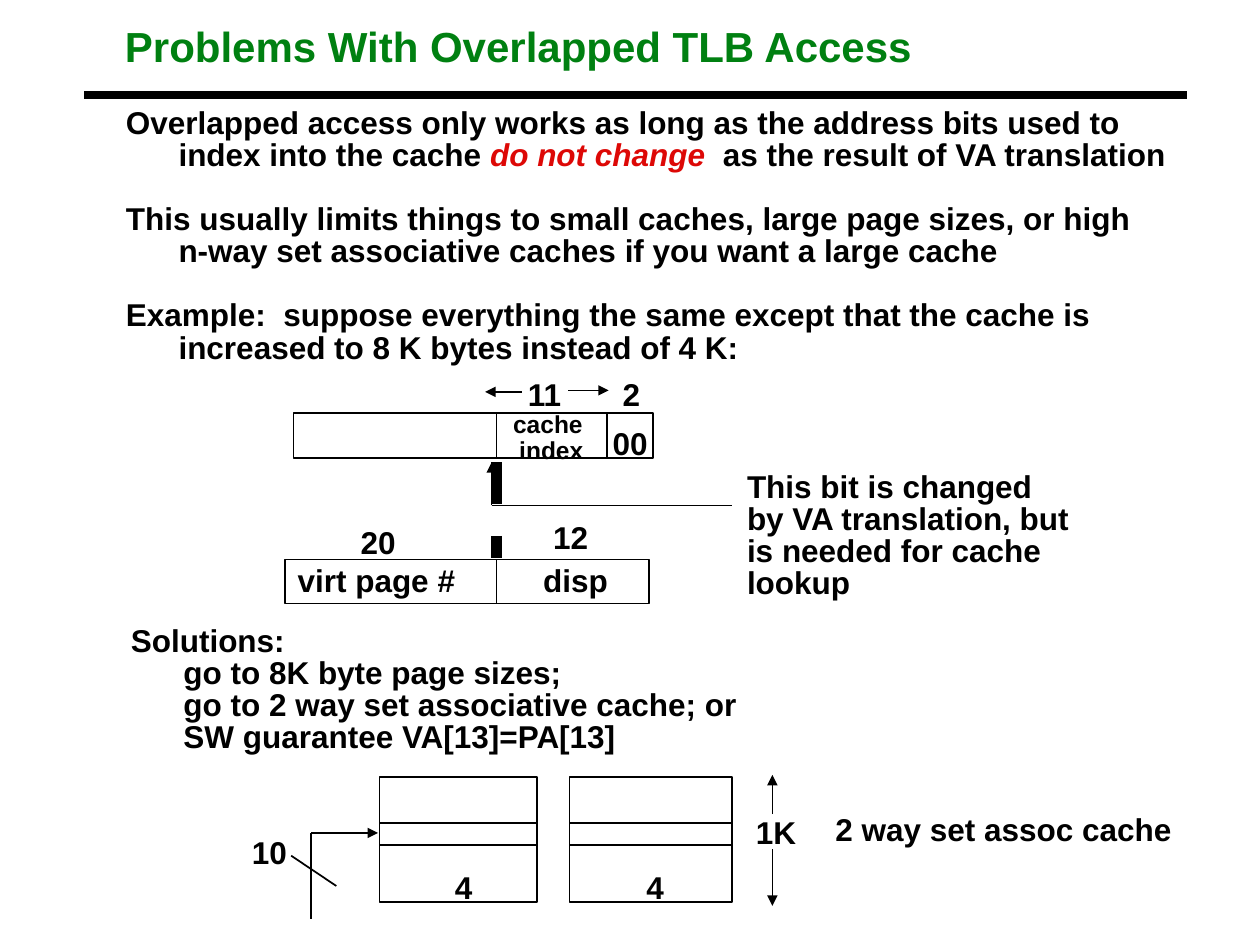
import dataclasses
import typing

import pptx
import pptx.dml.color
import pptx.enum.dml
import pptx.enum.shapes
import pptx.enum.text
import pptx.oxml.ns
import pptx.util
from pptx.util import Cm

BLACK = pptx.dml.color.RGBColor(0x00, 0x00, 0x00)
GREEN = pptx.dml.color.RGBColor(0x00, 0x80, 0x11)
RED = pptx.dml.color.RGBColor(0xDD, 0x08, 0x06)
FONT = "Arial"
HANG = 1.06  # indent of continuation lines, cm
GAP = 18.3  # space between body points, pt


@dataclasses.dataclass
class Run:
    text: str
    color: pptx.dml.color.RGBColor = BLACK
    italic: bool = False


@dataclasses.dataclass
class Para:
    runs: list[Run]
    indent: float = 0
    before: float = 0


@dataclasses.dataclass
class Text:
    x: float
    y: float
    w: float
    paras: list[Para]
    h: float = 0.79
    size: int = 18
    spacing: float = 0.85
    centered: bool = False


class Box(typing.NamedTuple):
    x: float
    y: float
    w: float
    h: float


class Line(typing.NamedTuple):
    x1: float
    y1: float
    x2: float
    y2: float
    arrow: bool = False
    width: float = 1
    dashed: bool = False


def para(text: str, indent: float = 0, before: float = 0) -> Para:
    return Para([Run(text)], indent, before)


def label(x: float, y: float, w: float, text: str) -> Text:
    return Text(x, y, w, [para(text)])


def draw_text(s, t: Text) -> None:
    tf = s.shapes.add_textbox(Cm(t.x), Cm(t.y), Cm(t.w), Cm(t.h)).text_frame
    # Fixed box; left-aligned text gets its right inset as slack against wrapping
    tf.word_wrap = True
    tf.auto_size = pptx.enum.text.MSO_AUTO_SIZE.NONE
    tf.margin_left = Cm(0.18)
    tf.margin_right = Cm(0.18 if t.centered else 0)
    tf.margin_top = tf.margin_bottom = Cm(0.08)
    for i, item in enumerate(t.paras):
        p = tf.add_paragraph() if i else tf.paragraphs[0]
        p.line_spacing = t.spacing
        p.space_before = pptx.util.Pt(item.before)
        if t.centered:
            p.alignment = pptx.enum.text.PP_ALIGN.CENTER
        if item.indent:
            p._p.get_or_add_pPr().set("marL", str(Cm(item.indent)))
        for run in item.runs:
            r = p.add_run()
            r.text = run.text
            r.font.name = FONT
            r.font.size = pptx.util.Pt(t.size)
            r.font.bold = True
            r.font.italic = run.italic
            r.font.color.rgb = run.color


def draw_box(s, b: Box) -> None:
    sp = s.shapes.add_shape(pptx.enum.shapes.MSO_SHAPE.RECTANGLE,
                            Cm(b.x), Cm(b.y), Cm(b.w), Cm(b.h))
    sp.shadow.inherit = False
    sp.fill.background()
    sp.line.color.rgb = BLACK
    sp.line.width = pptx.util.Pt(1)


def draw_line(s, ln: Line) -> None:
    sp = s.shapes.add_connector(pptx.enum.shapes.MSO_CONNECTOR.STRAIGHT,
                                Cm(ln.x1), Cm(ln.y1), Cm(ln.x2), Cm(ln.y2))
    sp.line.color.rgb = BLACK
    sp.line.width = pptx.util.Pt(ln.width)
    if ln.dashed:
        sp.line.dash_style = pptx.enum.dml.MSO_LINE.DASH
    if ln.arrow:
        tail = pptx.oxml.parse_xml(
            f'<a:tailEnd {pptx.oxml.ns.nsdecls("a")} type="triangle"/>')
        sp.line._get_or_add_ln().append(tail)
    sp._element.spPr.append(
        pptx.oxml.parse_xml(f'<a:effectLst {pptx.oxml.ns.nsdecls("a")}/>'))


# Address fields: cache address above, virtual address below
SPLIT = 10.01
CACHE = Box(5.92, 8.33, 7.24, 0.91)
VIRTUAL = Box(5.74, 11.28, 7.34, 0.89)
# The two ways of the cache
WAYS = [Box(7.65, 15.67, 3.18, 2.51), Box(11.48, 15.67, 3.28, 2.51)]

TEXTS = [
    Text(2.34, 0.48, 16.26, [Para([Run("Problems With Overlapped TLB Access", GREEN)])],
         h=1.91, size=24, spacing=0.87),
    Text(2.36, 2.11, 21.39, [
        para("Overlapped access only works as long as the address bits used to"),
        Para([Run("index into the cache "), Run("do not change  ", RED, True),
              Run("as the result of VA translation")], HANG),
        para("This usually limits things to small caches, large page sizes, or high",
             before=GAP),
        para("n-way set associative caches if you want a large cache", HANG),
        para("Example:  suppose everything the same except that the cache is", before=GAP),
        para("increased to 8 K bytes instead of 4 K:", HANG),
    ], h=5.33),
    label(10.46, 7.59, 1.07, "11"),
    label(12.37, 7.59, 0.71, "2"),
    label(12.17, 8.59, 1.07, "00"),
    Text(10.16, 8.23, 1.91, [para("cache "), para("index")],
         h=1.22, size=14, spacing=0.9, centered=True),
    label(7.09, 10.59, 1.07, "20"),
    label(10.97, 10.49, 1.07, "12"),
    label(5.82, 11.35, 3.53, "virt page #"),
    label(10.77, 11.35, 1.65, "disp"),
    Text(14.88, 9.45, 6.91, [para("This bit is changed"), para("by VA translation, but"),
                             para("is needed for cache"), para("lookup")], h=2.74),
    Text(2.46, 12.55, 12.57, [
        para("Solutions:"),
        para("go to 8K byte page sizes;", HANG),
        para("go to 2 way set associative cache; or", HANG),
        para("SW guarantee VA[13]=PA[13]", HANG),
    ], h=2.74),
    label(8.99, 17.53, 0.71, "4"),
    label(12.85, 17.53, 0.71, "4"),
    label(15.06, 16.43, 1.17, "1K"),
    label(4.9, 16.84, 1.07, "10"),
    label(16.66, 16.36, 7.14, "2 way set assoc cache"),
]

LINES = [
    Line(1.7, 1.91, 23.93, 1.91, width=4.5),  # title rule
    # Field dividers
    *[Line(x, b.y, x, b.y + b.h)
      for x, b in ((12.24, CACHE), (SPLIT, CACHE), (SPLIT, VIRTUAL))],
    # Extent of the cache index
    Line(11.46, 7.87, 12.27, 7.87, arrow=True),
    Line(10.52, 7.9, 9.78, 7.9, arrow=True),
    # Pointer to the changed bit
    Line(9.91, 10.19, 9.91, 9.32, arrow=True),
    Line(9.91, 10.19, 14.76, 10.19),
    Line(SPLIT, 9.32, SPLIT, 11.25, width=6, dashed=True),
    # Selected row in each way
    *[Line(b.x, y, b.x + b.w, y) for b in WAYS for y in (16.59, 17.04)],
    # Height of a way
    Line(15.57, 16.41, 15.57, 15.62, arrow=True),
    Line(15.57, 17.12, 15.57, 18.26, arrow=True),
    # Ten-bit index input
    Line(6.27, 18.52, 6.27, 16.79),
    Line(6.27, 16.79, 7.62, 16.79, arrow=True),
    Line(5.87, 17.25, 6.78, 17.86),
]


def main() -> None:
    prs = pptx.Presentation()
    prs.slide_width, prs.slide_height = Cm(25.4), Cm(19.05)
    s = prs.slides.add_slide(prs.slide_layouts[6])
    for b in (CACHE, VIRTUAL, *WAYS):
        draw_box(s, b)
    for ln in LINES:
        draw_line(s, ln)
    for t in TEXTS:
        draw_text(s, t)
    prs.save("out.pptx")


if __name__ == "__main__":
    main()
